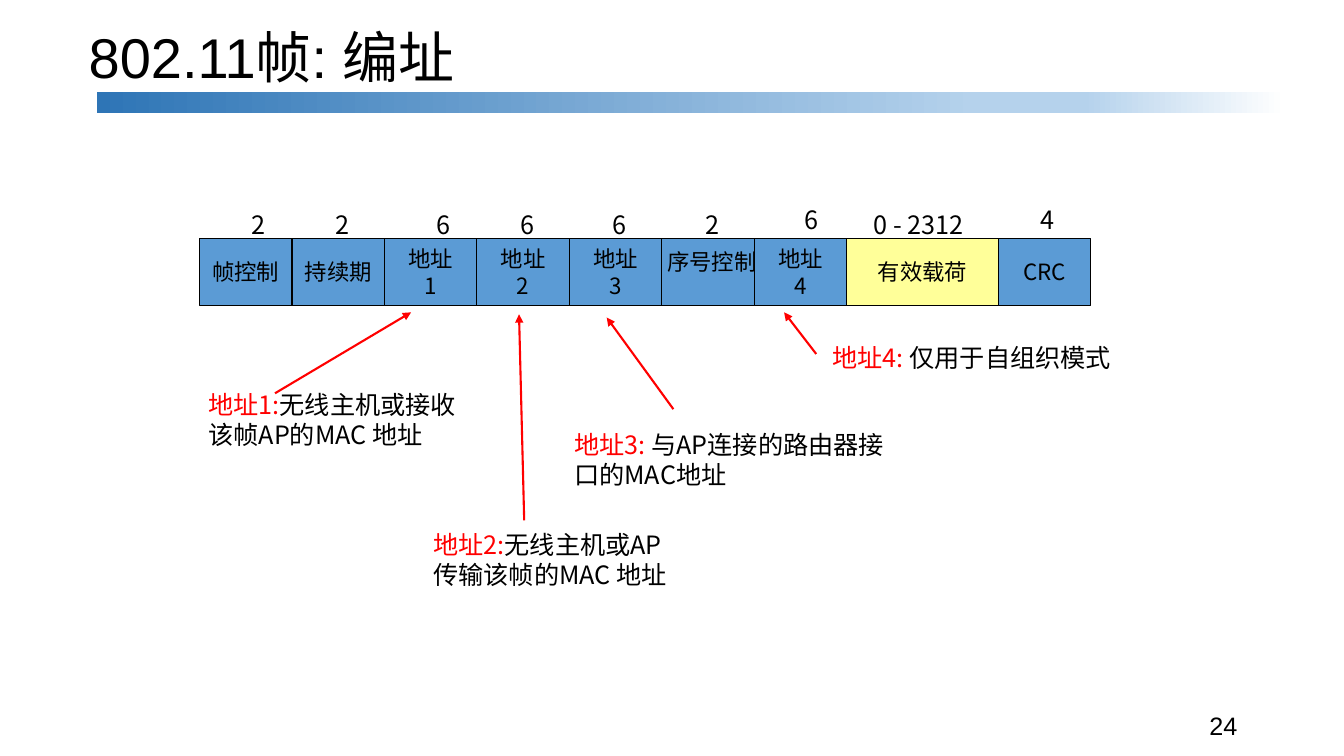
"""Build the slide on addressing in 802.11 frames."""
from dataclasses import dataclass

from lxml import etree
from pptx import Presentation
from pptx.dml.color import RGBColor
from pptx.enum.shapes import MSO_CONNECTOR, MSO_SHAPE
from pptx.enum.text import MSO_ANCHOR, PP_ALIGN
from pptx.oxml.ns import qn
from pptx.slide import Slide
from pptx.text.text import TextFrame
from pptx.util import Cm, Pt

RECTANGLE = MSO_SHAPE.RECTANGLE
STRAIGHT = MSO_CONNECTOR.STRAIGHT
LEFT, CENTER = PP_ALIGN.LEFT, PP_ALIGN.CENTER
TOP, MIDDLE = MSO_ANCHOR.TOP, MSO_ANCHOR.MIDDLE


@dataclass(frozen=True)
class Theme:
    ink: str = "000000"
    accent: str = "FF0000"
    header: str = "5B9BD5"
    payload: str = "FFFF99"
    bar: tuple = ((0, "2E75B6"), (74, "B5D2EC"), (83, "B5D2EC"), (100, "FFFFFF"))
    latin: str = "Arial"
    chinese: str = "Noto Sans CJK SC"
    title_size: int = 40
    body_size: int = 18
    field_size: int = 16


@dataclass(frozen=True)
class Box:
    left: float
    top: float
    width: float
    height: float

    def lengths(self) -> tuple:
        return Cm(self.left), Cm(self.top), Cm(self.width), Cm(self.height)


@dataclass(frozen=True)
class Words:
    text: str
    size: int
    color: str
    font: str


@dataclass(frozen=True)
class Field:
    lines: tuple
    count: str
    count_left: float
    count_top: float = 5.16
    count_width: float = 0.89
    width: float = 2.33
    color: str = Theme.header


@dataclass(frozen=True)
class Note:
    label: str
    lines: tuple
    box: Box
    start: tuple
    end: tuple


THEME = Theme()
FRAME_LEFT, FRAME_TOP, FRAME_HEIGHT = 5.03, 6.0, 1.7
COUNT_HEIGHT = 1.02
SEQUENCE_BOX = Box(16.56, 6.12, 2.77, 0.94)
TITLE_BOX = Box(1.98, 0.64, 28.78, 3.18)
BAR_BOX = Box(2.44, 2.31, 29.95, 0.53)
PAGE_BOX = Box(30.23, 17.78, 2.51, 1.27)

FIELDS = (
    Field(("帧控制",), "2", 6.1),
    Field(("持续期",), "2", 8.2),
    Field(("地址", "1"), "6", 10.74),
    Field(("地址", "2"), "6", 12.88),
    Field(("地址", "3"), "6", 15.19),
    Field((), "2", 17.53),
    Field(("地址", "4"), "6", 20.02, 5.03),
    Field(("有效载荷",), "0 - 2312", 21.77, count_width=3.05, width=3.82,
          color=THEME.payload),
    Field(("CRC",), "4", 25.96, 5.03),
)

NOTES = (
    Note("地址1:", ("无线主机或接收该帧AP的MAC 地址",),
         Box(5, 9.68, 7.19, 1.78), (6.93, 9.91), (10.36, 7.87)),
    Note("地址2:", ("无线主机或AP", "传输该帧的MAC 地址"),
         Box(10.67, 13.21, 6.48, 1.8), (13.21, 13.11), (13.08, 7.92)),
    Note("地址3: ", ("与AP连接的路由器接口的MAC地址",),
         Box(14.22, 10.69, 8.48, 1.78), (16.97, 10.31), (15.29, 8)),
    Note("地址4: ", ("仅用于自组织模式",),
         Box(20.73, 8.51, 8.26, 1.02), (20.57, 8.92), (19.76, 7.87)),
)


def rgb(color: str) -> RGBColor:
    return RGBColor.from_string(color)


def body(text: str, color: str = THEME.ink) -> Words:
    return Words(text, THEME.body_size, color, THEME.chinese)


def write(frame: TextFrame, paragraphs: list, align: PP_ALIGN = LEFT,
          anchor: MSO_ANCHOR = TOP, wrap: bool = False) -> None:
    frame.word_wrap = wrap
    frame.vertical_anchor = anchor
    for index, words_list in enumerate(paragraphs):
        paragraph = frame.add_paragraph() if index else frame.paragraphs[0]
        paragraph.alignment = align
        for words in words_list:
            run = paragraph.add_run()
            run.text = words.text
            run.font.size = Pt(words.size)
            run.font.name = words.font
            run.font.color.rgb = rgb(words.color)
            east_asian = etree.SubElement(run.font._element, qn("a:ea"))
            east_asian.set("typeface", THEME.chinese)


def add_label(slide: Slide, box: Box, paragraphs: list,
              align: PP_ALIGN = LEFT, wrap: bool = False) -> None:
    label = slide.shapes.add_textbox(*box.lengths())
    write(label.text_frame, paragraphs, align, wrap=wrap)


def field_words(text: str) -> Words:
    return Words(text, THEME.field_size, THEME.ink, THEME.chinese)


def add_frame(slide: Slide) -> None:
    left = FRAME_LEFT
    for field in FIELDS:
        box = Box(left, FRAME_TOP, field.width, FRAME_HEIGHT)
        cell = slide.shapes.add_shape(RECTANGLE, *box.lengths())
        cell.shadow.inherit = False
        cell.fill.solid()
        cell.fill.fore_color.rgb = rgb(field.color)
        cell.line.color.rgb = rgb(THEME.ink)
        cell.line.width = Pt(0.75)
        write(cell.text_frame, [[field_words(line)] for line in field.lines],
              CENTER, MIDDLE)
        left += field.width
    for field in FIELDS:
        box = Box(field.count_left, field.count_top, field.count_width, COUNT_HEIGHT)
        add_label(slide, box, [[body(field.count)]])
    add_label(slide, SEQUENCE_BOX, [[field_words("序号控制")]], CENTER)


def add_note(slide: Slide, note: Note) -> None:
    paragraphs = [[body(line)] for line in note.lines]
    paragraphs[0].insert(0, body(note.label, THEME.accent))
    add_label(slide, note.box, paragraphs, wrap=True)
    ends = [Cm(value) for value in note.start + note.end]
    arrow = slide.shapes.add_connector(STRAIGHT, *ends)
    arrow.line.color.rgb = rgb(THEME.accent)
    arrow.line.width = Pt(1.5)
    head = etree.SubElement(arrow.line._get_or_add_ln(), qn("a:tailEnd"))
    head.set("type", "triangle")
    etree.SubElement(arrow._element.spPr, qn("a:effectLst"))


def add_bar(slide: Slide) -> None:
    bar = slide.shapes.add_shape(RECTANGLE, *BAR_BOX.lengths())
    bar.shadow.inherit = False
    bar.line.fill.background()
    bar.fill.gradient()
    bar.fill.gradient_angle = 0
    stops = bar._element.spPr.find(f".//{qn('a:gsLst')}")
    for stop in list(stops):
        stops.remove(stop)
    for percent, color in THEME.bar:
        stop = etree.SubElement(stops, qn("a:gs"), pos=str(percent * 1000))
        etree.SubElement(stop, qn("a:srgbClr"), val=color)


def add_title(slide: Slide) -> None:
    title = slide.shapes.title
    title.left, title.top, title.width, title.height = TITLE_BOX.lengths()
    words = Words("802.11帧: 编址", THEME.title_size, THEME.ink, THEME.latin)
    write(title.text_frame, [[words]], wrap=True)
    title.text_frame.paragraphs[0].line_spacing = 0.9


def main() -> None:
    deck = Presentation()
    deck.slide_width, deck.slide_height = Cm(33.87), Cm(19.05)
    slide = deck.slides.add_slide(deck.slide_layouts[5])
    add_title(slide)
    add_frame(slide)
    for note in NOTES:
        add_note(slide, note)
    add_bar(slide)
    page = Words("24", THEME.body_size, THEME.ink, THEME.latin)
    add_label(slide, PAGE_BOX, [[page]], wrap=True)
    deck.save("out.pptx")


if __name__ == "__main__":
    main()
